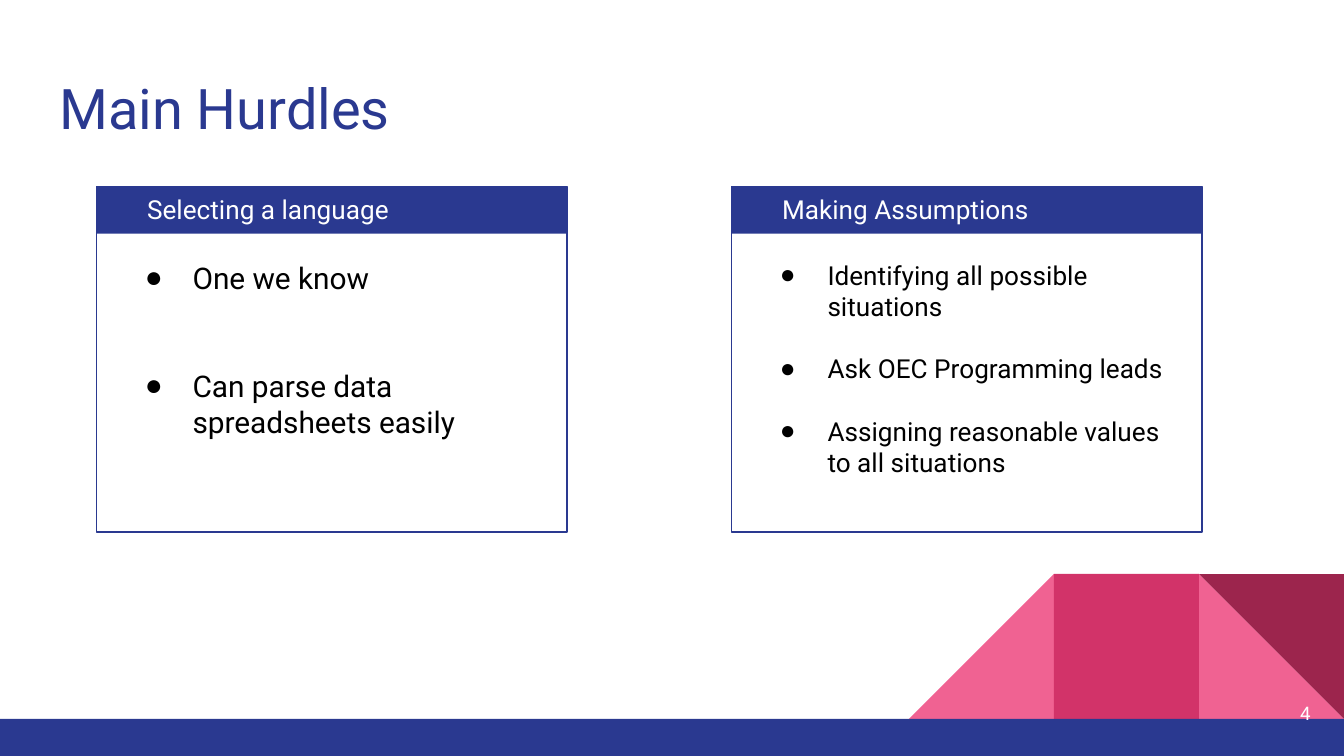
from lxml import etree
from pptx import Presentation
from pptx.dml.color import RGBColor
from pptx.enum.shapes import MSO_SHAPE
from pptx.enum.text import MSO_ANCHOR, PP_ALIGN
from pptx.oxml.ns import qn
from pptx.util import Cm, Pt

RECT, TRIANGLE = MSO_SHAPE.RECTANGLE, MSO_SHAPE.RIGHT_TRIANGLE
TOP, MIDDLE = MSO_ANCHOR.TOP, MSO_ANCHOR.MIDDLE
LEFT, RIGHT = PP_ALIGN.LEFT, PP_ALIGN.RIGHT
NAVY = RGBColor(0x2A, 0x39, 0x90)
PINK = RGBColor(0xF0, 0x62, 0x92)
ROSE = RGBColor(0xD2, 0x33, 0x69)
WINE = RGBColor(0x9C, 0x25, 0x4D)
WHITE = RGBColor(0xFF, 0xFF, 0xFF)
BLACK = RGBColor(0, 0, 0)


class Deck:
    """Draws styled elements on the current slide, with lengths in centimetres."""

    font = "Roboto"
    bullet_font = "Arial"
    inset = Cm(0.25)

    def __init__(self, width, height):
        self.prs = Presentation()
        self.prs.slide_width, self.prs.slide_height = Cm(width), Cm(height)
        self.s = self.prs.slides.add_slide(self.prs.slide_layouts[6])

    def shape(self, kind, x, y, w, h, fill=None, line=None, rotation=0):
        sp = self.s.shapes.add_shape(kind, Cm(x), Cm(y), Cm(w), Cm(h))
        sp.shadow.inherit = False
        sp.rotation = rotation
        if fill is None:
            sp.fill.background()
        else:
            sp.fill.solid()
            sp.fill.fore_color.rgb = fill
        if line is None:
            sp.line.fill.background()
        else:
            sp.line.color.rgb = line
            sp.line.width = Pt(0.75)

    def text(self, lines, x, y, w, h, size, color, align=LEFT, anchor=TOP, gap=0, bullet=False):
        tf = self.s.shapes.add_textbox(Cm(x), Cm(y), Cm(w), Cm(h)).text_frame
        tf.word_wrap = True
        tf.vertical_anchor = anchor
        tf.margin_left = tf.margin_right = tf.margin_top = tf.margin_bottom = self.inset
        for i, line in enumerate(lines):
            p = tf.add_paragraph() if i else tf.paragraphs[0]
            p.alignment = align
            p.space_before = Pt(gap if i else 0)
            r = p.add_run()
            r.text = line
            r.font.name, r.font.size = self.font, Pt(size)
            r.font.color.rgb = color
            if bullet:
                self.bullet(p)

    def bullet(self, p):
        pPr = p._p.get_or_add_pPr()
        pPr.set("marL", str(Cm(1.27)))
        pPr.set("indent", str(Cm(-0.9)))
        etree.SubElement(pPr, qn("a:buFont"), typeface=self.bullet_font)
        etree.SubElement(pPr, qn("a:buChar"), char="●")

    def card(self, x, heading, points, size, gap):
        y, w = 3.53, 8.89
        self.shape(RECT, x, y, w, 0.89, fill=NAVY)
        self.shape(RECT, x, y, w, 6.53, line=NAVY)
        self.text([heading], x + 0.7, y - 0.13, 8.51, 1.12, 14, WHITE)
        self.text(points, x + 0.29, y + 1.12, 8.51, 4.7, size, BLACK, gap=gap, bullet=True)


def main():
    deck = Deck(25.4, 14.29)

    side, bar_top = 2.74, 13.59
    tiles = [
        (TRIANGLE, 2, PINK, 0),
        (TRIANGLE, 0, PINK, 270),
        (RECT, 1, ROSE, 0),
        (TRIANGLE, 2, WINE, 180),
    ]
    for kind, column, fill, rotation in tiles:
        x = 25.4 - (3 - column) * side
        deck.shape(kind, x, bar_top - side, side, side, fill=fill, rotation=rotation)
    deck.shape(RECT, 0, bar_top, 25.4, 0.7, fill=NAVY)

    deck.text(["Main Hurdles"], 0.87, 1.15, 23.67, 1.68, 30, NAVY)
    deck.card(1.83, "Selecting a language",
              ["One we know", "Can parse data spreadsheets easily"], 16, 39)
    deck.card(13.83, "Making Assumptions",
              ["Identifying all possible situations", "Ask OEC Programming leads",
               "Assigning reasonable values to all situations"], 14, 16.5)
    deck.text(["4"], 23.5, 12.93, 1.52, 1.09, 10, WHITE, align=RIGHT, anchor=MIDDLE)

    deck.prs.save("out.pptx")


if __name__ == "__main__":
    main()
